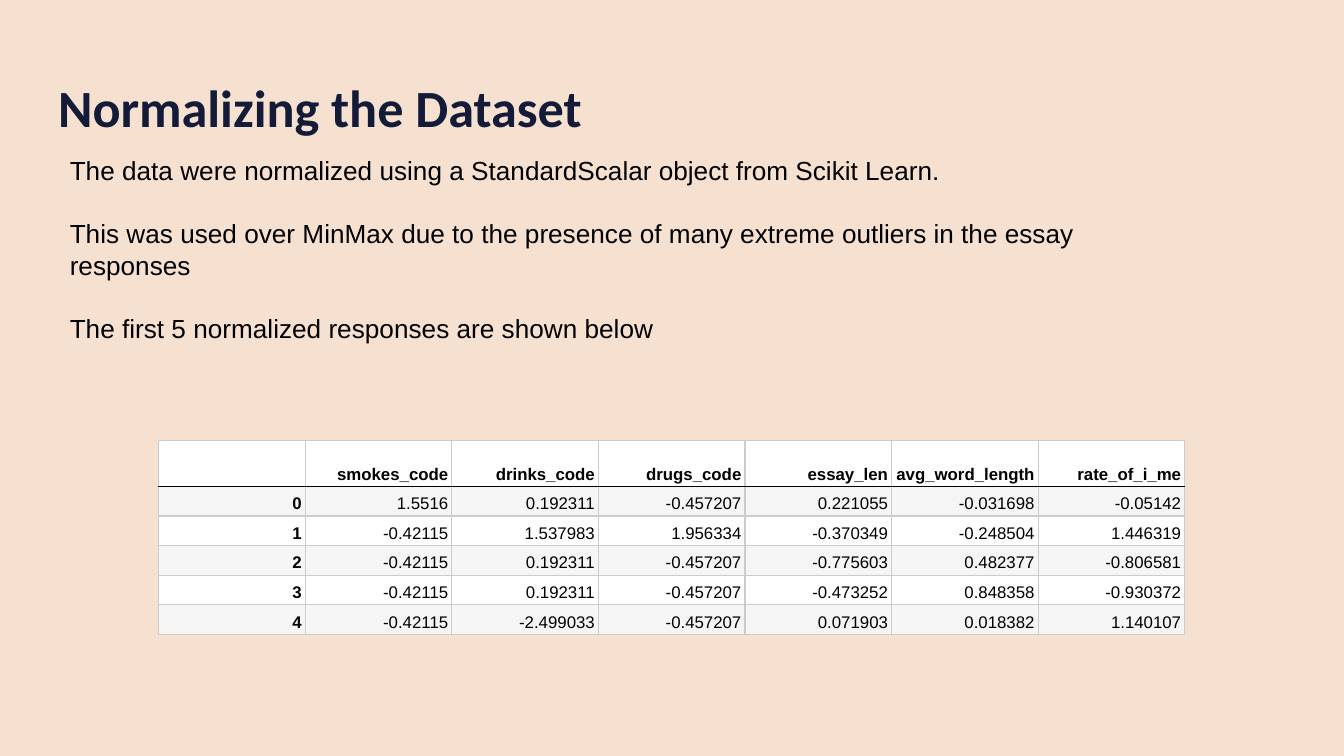
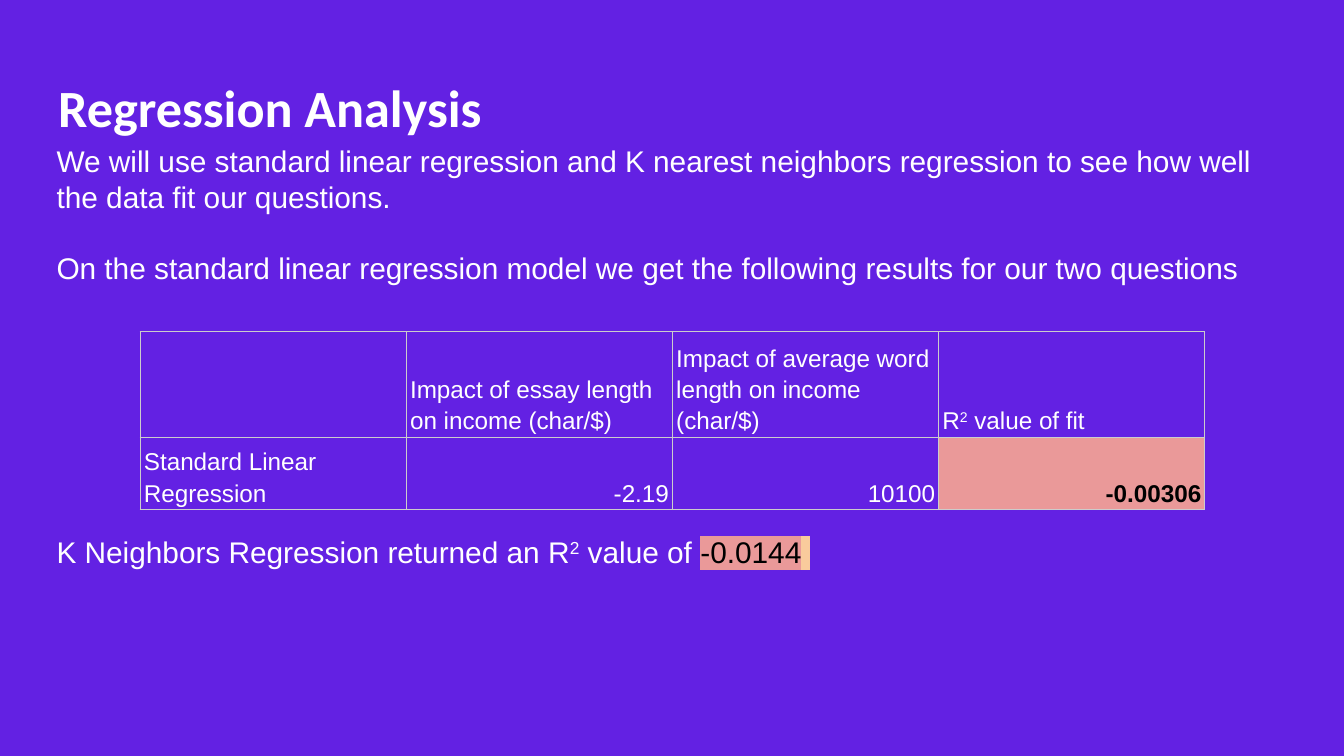
from dataclasses import dataclass

from lxml import etree
from pptx import Presentation
from pptx import util as u
from pptx.dml.color import RGBColor
from pptx.enum import text
from pptx.oxml.ns import qn


@dataclass(frozen=True)
class Theme:
    title_font: str = "Calibri"
    body_font: str = "Arial"
    peach: str = "F6E1D1"
    violet: str = "6321E3"
    navy: str = "141B39"
    black: str = "000000"
    white: str = "FFFFFF"
    stripe: str = "F5F5F5"
    border: str = "CCCCCC"
    result: str = "EA9999"
    result_end: str = "F9CB9C"
    title_size: int = 28
    scaling_size: int = 14
    regression_size: int = 16
    scaled_table_size: int = 9
    result_table_size: int = 13
    border_width: float = 0.75


theme = Theme()


def add_runs(paragraph, pieces, size, color, bold=False):
    for words, style in pieces:
        run = paragraph.add_run()
        run.text = words
        run.font.name = theme.body_font
        run.font.size = u.Pt(size)
        run.font.bold = style.get("bold", bold)
        run.font.color.rgb = RGBColor.from_string(style.get("color", color))
        properties = run.font._element
        if style.get("superscript"):
            properties.set("baseline", "30000")
        if "highlight" in style:
            highlight = etree.Element(qn("a:highlight"))
            etree.SubElement(highlight, qn("a:srgbClr"), val=style["highlight"])
            properties.find(qn("a:solidFill")).addnext(highlight)


def prepare_cell(cell, borders, fill):
    cell.margin_left = cell.margin_right = u.Cm(0.07)
    cell.margin_top = cell.margin_bottom = u.Cm(0.05)
    cell.vertical_anchor = text.MSO_ANCHOR.BOTTOM
    properties = cell._tc.get_or_add_tcPr()
    for side in ("L", "R", "T", "B"):
        line = etree.SubElement(properties, qn(f"a:ln{side}"), w=str(u.Pt(theme.border_width)))
        solid = etree.SubElement(line, qn("a:solidFill"))
        etree.SubElement(solid, qn("a:srgbClr"), val=borders.get(side, theme.border))
    if fill:
        cell.fill.solid()
        cell.fill.fore_color.rgb = RGBColor.from_string(fill)
    else:
        cell.fill.background()


r_squared = [("R", {}), ("2", {"superscript": True})]

slide_plans = [
    {
        "title": "Normalizing the Dataset",
        "background": theme.peach,
        "title_color": theme.navy,
        "body_color": theme.black,
        "body_size": theme.scaling_size,
        "body_box": (1.07, 2.67, 21.34, 5.66),
        "body_margins": (0.25, 0.25),
        "paragraphs": [
            (0, [("The data were normalized using a StandardScalar object from Scikit Learn.", {})]),
            (17, [("This was used over MinMax due to the presence of many extreme outliers "
                   "in the essay responses", {})]),
            (17, [("The first 5 normalized responses are shown below", {})]),
        ],
        "table_origin": (3, 8.33),
        "column_width": 2.77,
        "row_heights": [0.82] + [0.56] * 5,
    },
    {
        "title": "Regression Analysis",
        "background": theme.violet,
        "title_color": theme.white,
        "body_color": theme.white,
        "body_size": theme.regression_size,
        "body_box": (1.07, 2.67, 23.27, 8.86),
        "body_margins": (0, 0.03),
        "paragraphs": [
            (0, [("We will use standard linear regression and K nearest neighbors regression "
                  "to see how well the data fit our questions.", {})]),
            (18.9, [("On the standard linear regression model we get the following results "
                     "for our two questions", {})]),
            (133, [("K Neighbors Regression returned an ", {}), *r_squared, (" value of ", {}),
                   ("-0.0144", {"color": theme.black, "highlight": theme.result}),
                   (" ", {"color": theme.black, "highlight": theme.result_end})]),
        ],
        "table_origin": (2.65, 6.27),
        "column_width": 5.03,
        "row_heights": [1.87, 1.28],
    },
]

scaled_rows = [
    ["", "smokes_code", "drinks_code", "drugs_code", "essay_len", "avg_word_length", "rate_of_i_me"],
    ["0", "1.5516", "0.192311", "-0.457207", "0.221055", "-0.031698", "-0.05142"],
    ["1", "-0.42115", "1.537983", "1.956334", "-0.370349", "-0.248504", "1.446319"],
    ["2", "-0.42115", "0.192311", "-0.457207", "-0.775603", "0.482377", "-0.806581"],
    ["3", "-0.42115", "0.192311", "-0.457207", "-0.473252", "0.848358", "-0.930372"],
    ["4", "-0.42115", "-2.499033", "-0.457207", "0.071903", "0.018382", "1.140107"],
]
result_rows = [
    [[], [("Impact of essay length on income (char/$)", {})],
     [("Impact of average word length on income (char/$)", {})],
     [*r_squared, (" value of fit", {})]],
    [[("Standard Linear Regression", {})], [("-2.19", {})], [("10100", {})],
     [("-0.00306", {"color": theme.black, "bold": True})]],
]

presentation = Presentation()
presentation.slide_width = u.Cm(25.4)
presentation.slide_height = u.Cm(14.29)

tables = []
for plan in slide_plans:
    slide = presentation.slides.add_slide(presentation.slide_layouts[5])
    slide.background.fill.solid()
    slide.background.fill.fore_color.rgb = RGBColor.from_string(plan["background"])

    title = slide.shapes.title
    title.left, title.top, title.width, title.height = map(u.Cm, (1.07, 1.4, 18.59, 1.24))
    frame = title.text_frame
    frame.text = plan["title"]
    frame.auto_size = text.MSO_AUTO_SIZE.NONE
    frame.vertical_anchor = text.MSO_ANCHOR.TOP
    frame.margin_left = frame.margin_top = u.Cm(0.03)
    frame.margin_right = frame.margin_bottom = 0
    paragraph = frame.paragraphs[0]
    paragraph.alignment = text.PP_ALIGN.LEFT
    font = paragraph.runs[0].font
    font.name = theme.title_font
    font.size = u.Pt(theme.title_size)
    font.bold = True
    font.color.rgb = RGBColor.from_string(plan["title_color"])

    body = slide.shapes.add_textbox(*map(u.Cm, plan["body_box"]))
    frame = body.text_frame
    frame.word_wrap = True
    side_margin, top_margin = map(u.Cm, plan["body_margins"])
    frame.margin_left = frame.margin_right = side_margin
    frame.margin_top = top_margin
    for index, (gap, pieces) in enumerate(plan["paragraphs"]):
        paragraph = frame.add_paragraph() if index else frame.paragraphs[0]
        paragraph.space_before = u.Pt(gap)
        add_runs(paragraph, pieces, plan["body_size"], plan["body_color"])

    heights = plan["row_heights"]
    column_count = 7 if len(heights) == len(scaled_rows) else 4
    left, top = plan["table_origin"]
    table = slide.shapes.add_table(
        len(heights), column_count, u.Cm(left), u.Cm(top),
        u.Cm(plan["column_width"] * column_count), u.Cm(sum(heights)),
    ).table
    table.first_row = table.horz_banding = False
    for column in table.columns:
        column.width = u.Cm(plan["column_width"])
    for row, height in zip(table.rows, heights):
        row.height = u.Cm(height)
    tables.append(table)

scaled_table, result_table = tables

for row_index, row in enumerate(scaled_rows):
    borders = {0: {"B": theme.black}, 1: {"T": theme.black}}.get(row_index, {})
    for column_index, value in enumerate(row):
        cell = scaled_table.cell(row_index, column_index)
        prepare_cell(cell, borders, theme.stripe if row_index % 2 else theme.white)
        if value:
            paragraph = cell.text_frame.paragraphs[0]
            paragraph.alignment = text.PP_ALIGN.RIGHT
            paragraph.line_spacing = 1.15
            add_runs(paragraph, [(value, {})], theme.scaled_table_size, theme.black,
                     bold=row_index == 0 or column_index == 0)

for row_index, row in enumerate(result_rows):
    for column_index, pieces in enumerate(row):
        cell = result_table.cell(row_index, column_index)
        is_number = row_index > 0 and column_index > 0
        prepare_cell(cell, {}, theme.result if is_number and column_index == 3 else None)
        if pieces:
            paragraph = cell.text_frame.paragraphs[0]
            paragraph.alignment = text.PP_ALIGN.RIGHT if is_number else text.PP_ALIGN.LEFT
            paragraph.line_spacing = 1.15
            add_runs(paragraph, pieces, theme.result_table_size, theme.white)

presentation.save("out.pptx")
